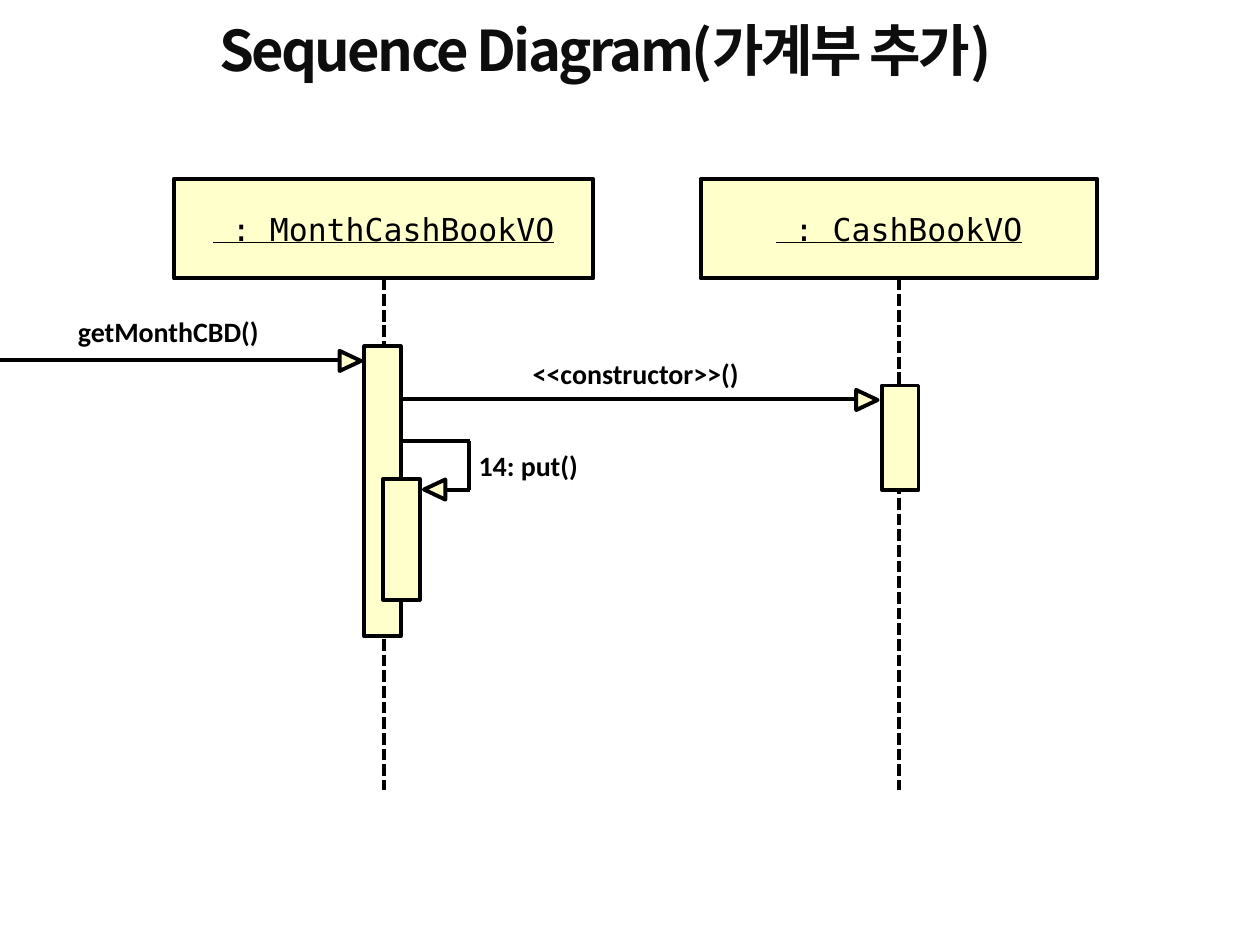
"""Build a sequence diagram slide for adding a cash book entry."""
from typing import NamedTuple

from lxml.etree import SubElement
from pptx import Presentation
from pptx.dml.color import RGBColor
from pptx.enum.dml import MSO_LINE
from pptx.enum.shapes import MSO_CONNECTOR, MSO_SHAPE
from pptx.enum.text import MSO_ANCHOR, MSO_AUTO_SIZE, PP_ALIGN
from pptx.oxml.ns import qn
from pptx.util import Inches, Pt

BLACK = RGBColor(0, 0, 0)
TITLE_INK = RGBColor(0x0D, 0x0D, 0x0D)
CREAM = RGBColor(0xFF, 0xFF, 0xCC)
TITLE_FONT = "Noto Sans CJK KR"
STROKE = Pt(2.25)
HEAD_TOP, HEAD_H, LIFE_END = 1.42, 0.79, 6.27
BAR_W = 0.29
ARROW_W, ARROW_H = 0.16, 0.17


class Lifeline(NamedTuple):
    name: str
    left: float
    width: float


class Segment(NamedTuple):
    x1: float
    y1: float
    x2: float
    y2: float


class Arrowhead(NamedTuple):
    left: float
    top: float
    rotation: int


class Bar(NamedTuple):
    left: float
    top: float
    height: float


class Label(NamedTuple):
    text: str
    left: float
    top: float
    width: float


class Message(NamedTuple):
    segments: list[Segment]
    head: Arrowhead
    bar: Bar
    label: Label


LIFELINES = [
    Lifeline(" : MonthCashBookVO", 1.38, 3.33),
    Lifeline(" : CashBookVO", 5.56, 3.15),
]
MESSAGES = [
    Message([Segment(0, 2.86, 2.75, 2.86)], Arrowhead(2.7, 2.78, 90),
            Bar(2.89, 2.75, 2.3), Label("getMonthCBD()", 0.52, 2.45, 1.66)),
    Message([Segment(3.19, 3.17, 6.78, 3.17)], Arrowhead(6.8, 3.09, 90),
            Bar(7, 3.06, 0.83), Label("<<constructor>>()", 4.13, 2.78, 1.86)),
    Message([Segment(3.19, 3.5, 3.73, 3.5), Segment(3.72, 3.89, 3.72, 3.5),
             Segment(3.53, 3.89, 3.73, 3.89)], Arrowhead(3.37, 3.8, 270),
            Bar(3.04, 3.8, 0.96), Label("14: put()", 3.7, 3.51, 1)),
]


def style_run(r, font: str, size: float, color: RGBColor) -> None:
    r.font.name = font
    r.font.size = Pt(size)
    r.font.color.rgb = color


def add_box(slide, kind: MSO_SHAPE, left: float, top: float, width: float, height: float):
    sp = slide.shapes.add_shape(kind, Inches(left), Inches(top), Inches(width), Inches(height))
    sp.shadow.inherit = False
    sp.fill.solid()
    sp.fill.fore_color.rgb = CREAM
    sp.line.color.rgb = BLACK
    sp.line.width = STROKE
    return sp


def add_line(slide, seg: Segment, dashed: bool = False) -> None:
    line = slide.shapes.add_connector(MSO_CONNECTOR.STRAIGHT, *(Inches(v) for v in seg))
    line.line.color.rgb = BLACK
    line.line.width = STROKE
    if dashed:
        line.line.dash_style = MSO_LINE.SQUARE_DOT
    SubElement(line._element.spPr, qn("a:effectLst"))


def add_title(slide, text: str) -> None:
    sp = slide.shapes.add_textbox(Inches(1.64), Inches(0), Inches(8.02), Inches(0.84))
    tf = sp.text_frame
    tf.word_wrap = True
    tf.vertical_anchor = MSO_ANCHOR.MIDDLE
    tf.text = text
    p = tf.paragraphs[0]
    p.line_spacing = 0.9
    r = p.runs[0]
    style_run(r, TITLE_FONT, 32, TITLE_INK)
    r.font.bold = True
    props = r.font._element
    props.set("spc", "-150")
    SubElement(props, qn("a:ea"), typeface=TITLE_FONT)


def add_label(slide, label: Label) -> None:
    sp = slide.shapes.add_textbox(Inches(label.left), Inches(label.top),
                                  Inches(label.width), Inches(0.37))
    tf = sp.text_frame
    tf.word_wrap = False
    tf.auto_size = MSO_AUTO_SIZE.SHAPE_TO_FIT_TEXT
    tf.text = label.text
    r = tf.paragraphs[0].runs[0]
    style_run(r, "Calibri", 16, BLACK)
    r.font.bold = True


def add_lifeline(slide, life: Lifeline) -> None:
    sp = add_box(slide, MSO_SHAPE.RECTANGLE, life.left, HEAD_TOP, life.width, HEAD_H)
    tf = sp.text_frame
    tf.vertical_anchor = MSO_ANCHOR.MIDDLE
    tf.text = life.name
    p = tf.paragraphs[0]
    p.alignment = PP_ALIGN.CENTER
    r = p.runs[0]
    style_run(r, "DejaVu Sans Mono", 18, BLACK)
    r.font.underline = True
    x = life.left + life.width / 2
    add_line(slide, Segment(x, HEAD_TOP + HEAD_H, x, LIFE_END), dashed=True)


def add_message(slide, msg: Message) -> None:
    for seg in msg.segments:
        add_line(slide, seg)
    head = msg.head
    arrow = add_box(slide, MSO_SHAPE.ISOSCELES_TRIANGLE, head.left, head.top, ARROW_W, ARROW_H)
    arrow.rotation = head.rotation
    add_box(slide, MSO_SHAPE.RECTANGLE, msg.bar.left, msg.bar.top, BAR_W, msg.bar.height)
    add_label(slide, msg.label)


def main() -> None:
    prs = Presentation()
    prs.slide_width, prs.slide_height = Inches(10), Inches(7.5)
    slide = prs.slides.add_slide(prs.slide_layouts[6])
    add_title(slide, "Sequence Diagram(가계부 추가)")
    for life in LIFELINES:
        add_lifeline(slide, life)
    for msg in MESSAGES:
        add_message(slide, msg)
    prs.save("out.pptx")


if __name__ == "__main__":
    main()
